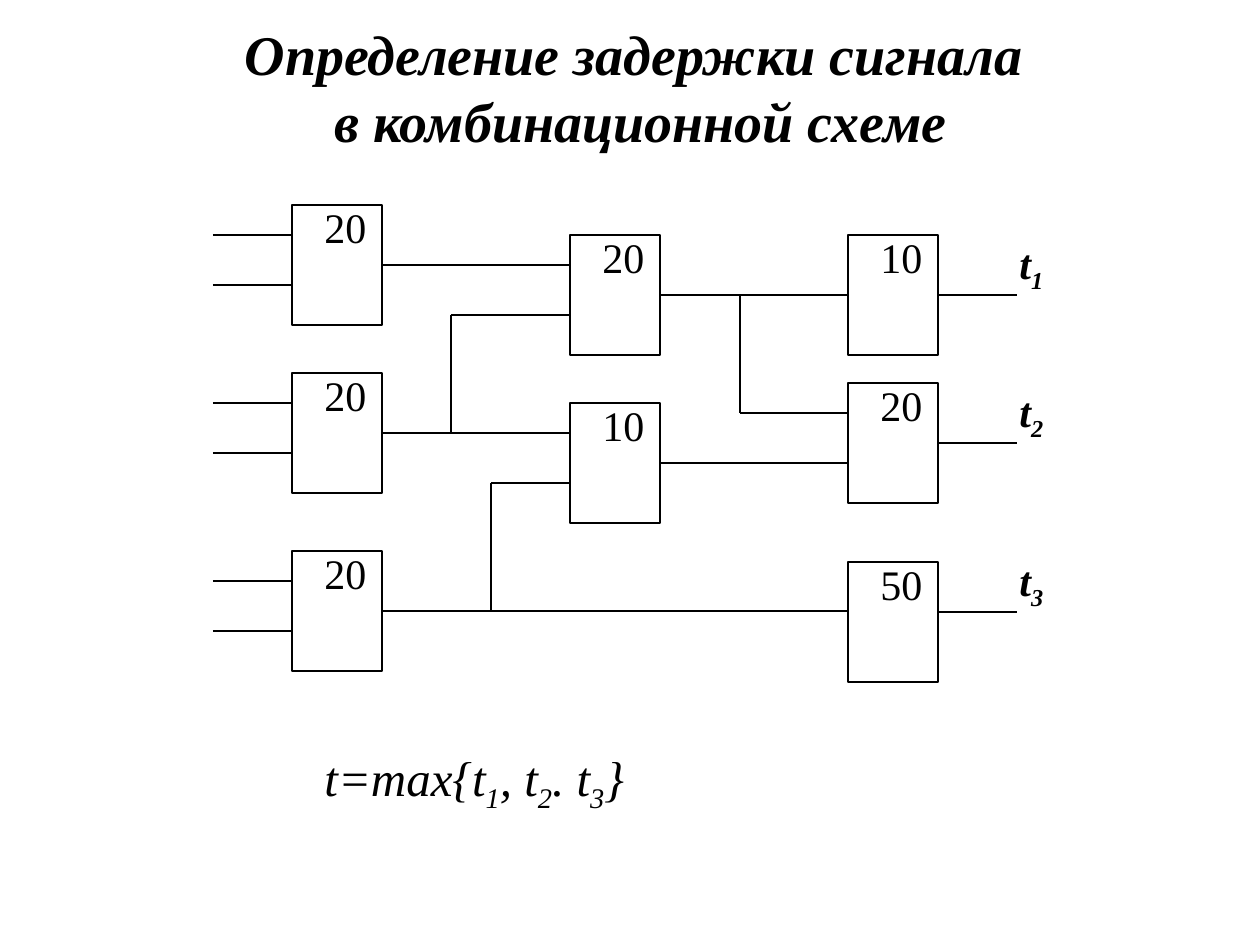
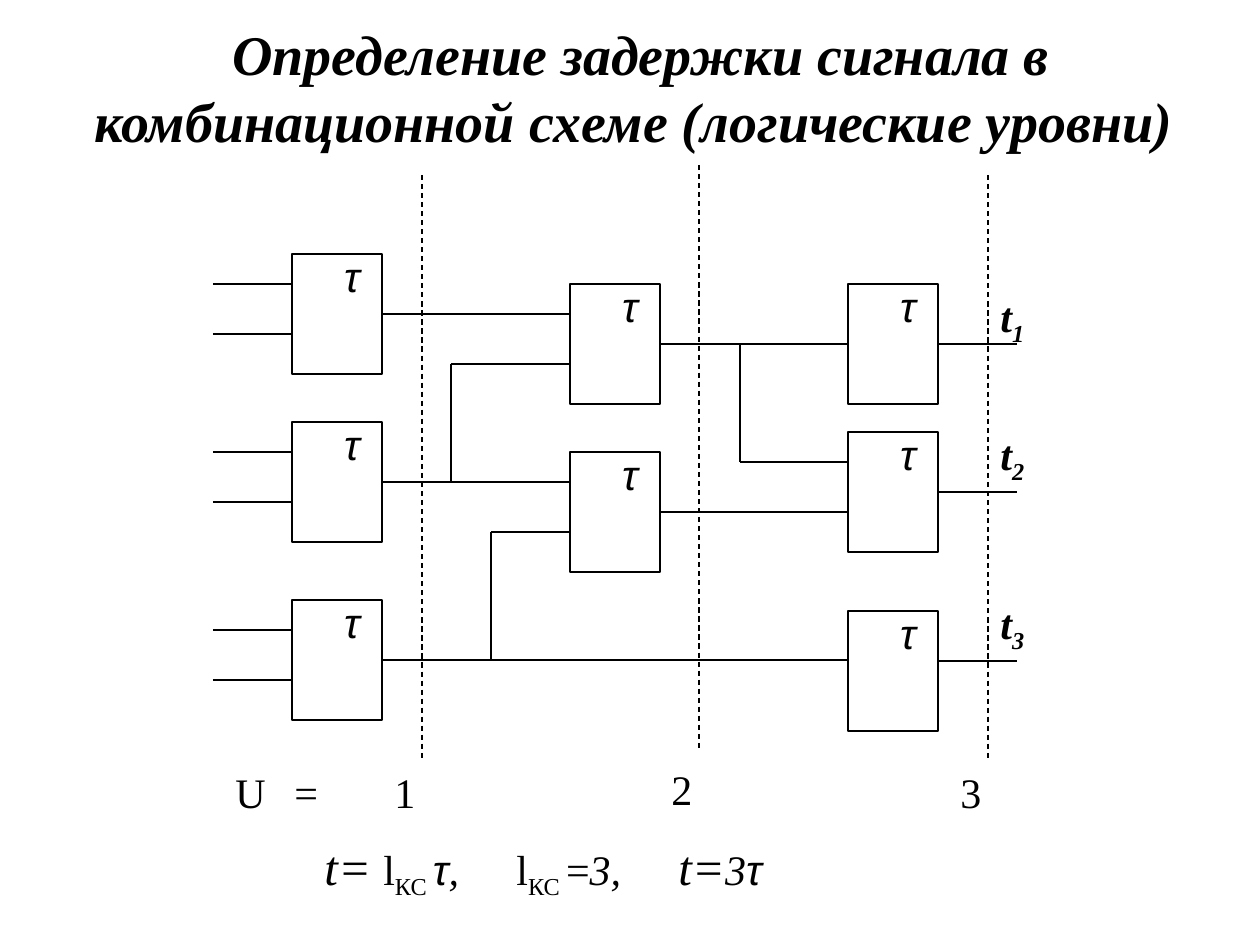
from dataclasses import dataclass

from lxml import etree
from pptx import Presentation
from pptx.dml.color import RGBColor
from pptx.enum.dml import MSO_LINE
from pptx.enum.shapes import MSO_CONNECTOR, MSO_SHAPE
from pptx.enum.text import MSO_ANCHOR, MSO_AUTO_SIZE, PP_ALIGN
from pptx.oxml.ns import qn
from pptx.util import Emu, Pt

LEFT, CENTER = PP_ALIGN.LEFT, PP_ALIGN.CENTER
MIDDLE = MSO_ANCHOR.MIDDLE
GROW = MSO_AUTO_SIZE.SHAPE_TO_FIT_TEXT
STRAIGHT, RECT = MSO_CONNECTOR.STRAIGHT, MSO_SHAPE.RECTANGLE
DASH = MSO_LINE.DASH
EMU_PER_PX = 914400 / 126


@dataclass(frozen=True)
class Theme:
    ink: RGBColor = RGBColor(0, 0, 0)
    serif: str = "Times New Roman"
    sans: str = "Arial"
    title: int = 32
    formula: int = 28
    body: int = 24
    line: float = 0.75


THEME = Theme()

# Circuit geometry, relative to the top left of the diagram
GATE_W, GATE_H = 90, 120
INPUT_LEN = 79
COLUMNS = [INPUT_LEN + 278 * i for i in range(3)]
GATE_TOPS = [(0, 168, 346), (30, 198), (30, 178, 357)]
PIN_A, PIN_OUT, PIN_B = 30, 60, 80
LAST_PIN = 50
OUTPUT_END = COLUMNS[2] + GATE_W + INPUT_LEN
FORK_1, FORK_2, FORK_3 = 238, 278, 527


def px(n):
    return Emu(round(n * EMU_PER_PX))


def set_font(font, size=None, name=None, bold=None, italic=None):
    if size:
        font.size = Pt(size)
    if name:
        font.name = name
    if bold is not None:
        font.bold = bold
    if italic is not None:
        font.italic = italic


def add_text(slide, box, runs, align=LEFT, tabs=(), anchor=None, **font):
    """Runs are (text, font settings) pairs; 'sub' marks a subscript."""
    tf = slide.shapes.add_textbox(*map(px, box)).text_frame
    tf.word_wrap = True
    if anchor is None:
        tf.auto_size = GROW
    else:
        tf.vertical_anchor = anchor
    p = tf.paragraphs[0]
    p.alignment = align
    if tabs:
        tab_list = etree.SubElement(p._p.get_or_add_pPr(), qn("a:tabLst"))
        for pos in tabs:
            etree.SubElement(tab_list, qn("a:tab"), pos=str(px(pos)), algn="l")
    set_font(p.font, **{"size": THEME.body, "name": THEME.serif, **font})
    p.font.color.rgb = THEME.ink
    if isinstance(runs, str):
        p.text = runs
        return
    for text, style in runs:
        r = p.add_run()
        r.text = text
        set_font(r.font, **{k: v for k, v in style.items() if k != "sub"})
        if style.get("sub"):
            r._r.get_or_add_rPr().set("baseline", "-25000")


def add_line(slide, x1, y1, x2, y2, dash=None):
    line = slide.shapes.add_connector(STRAIGHT, px(x1), px(y1), px(x2), px(y2))
    line.line.color.rgb = THEME.ink
    line.line.width = Pt(THEME.line)
    if dash:
        line.line.dash_style = dash
    etree.SubElement(line._element.spPr, qn("a:effectLst"))


def add_title(slide, text):
    add_text(slide, (53, 29, 1176, 116), text, CENTER, anchor=MIDDLE,
             size=THEME.title, bold=True, italic=True)


def add_gate(slide, x, y, label, **style):
    sp = slide.shapes.add_shape(RECT, px(x), px(y), px(GATE_W), px(GATE_H))
    sp.shadow.inherit = False
    sp.fill.background()
    sp.line.color.rgb = THEME.ink
    sp.line.width = Pt(THEME.line)
    add_text(slide, (x + 20, y - 10, 80, 63), label, **style)


def add_circuit(slide, left, top, delays, **style):
    # Gates, column by column
    for x, tops, labels in zip(COLUMNS, GATE_TOPS, delays):
        for y, label in zip(tops, labels):
            add_gate(slide, left + x, top + y, label, **style)

    first, second, third = GATE_TOPS
    ends = [x + GATE_W for x in COLUMNS]
    wires = []

    # Circuit inputs and outputs
    for y in first:
        wires += [(0, y + pin, COLUMNS[0], y + pin) for pin in (PIN_A, PIN_B)]
    for y, pin in zip(third, (PIN_OUT, PIN_OUT, LAST_PIN)):
        wires.append((ends[2], y + pin, OUTPUT_END, y + pin))

    # Direct wires between gates
    y1, y2, y3 = (y + PIN_OUT for y in first)
    y4, y5 = (y + PIN_OUT for y in second)
    wires += [
        (ends[0], y1, COLUMNS[1], y1),
        (ends[0], y2, FORK_2, y2),
        (FORK_2, y2, COLUMNS[1], y2),
        (ends[0], y3, COLUMNS[2], y3),
        (ends[1], y4, FORK_3, y4),
        (FORK_3, y4, COLUMNS[2], y4),
        (ends[1], y5, COLUMNS[2], y5),
    ]

    # Branches: a vertical from the fork, then a run into the gate
    for x, y_from, y_to, x_to in (
        (FORK_1, y2, second[0] + PIN_B, COLUMNS[1]),
        (FORK_2, y3, second[1] + PIN_B, COLUMNS[1]),
        (FORK_3, y4, third[1] + PIN_A, COLUMNS[2]),
    ):
        wires += [(x, y_from, x, y_to), (x, y_to, x_to, y_to)]

    for xa, ya, xb, yb in wires:
        add_line(slide, left + xa, top + ya, left + xb, top + yb)


def add_output_names(slide, left, tops):
    for i, y in enumerate(tops, 1):
        add_text(slide, (left, y, 80, 70), [("t", {}), (str(i), {"sub": True})],
                 bold=True, italic=True)


def add_levels(slide, top, height):
    # Dashed level borders with their numbers
    for i, (x, dy) in enumerate(((422, 0), (699, -10), (988, 0)), 1):
        add_line(slide, x, top + dy, x, top + dy + height, DASH)
        label_y = top + height + (-3 if dy else 0)
        add_text(slide, (x - 40, label_y, 80, 63), str(i))
    for x, text in ((223, "U"), (282, "=")):
        add_text(slide, (x, top + height, 80, 63), text)


def build_delay_slide(slide):
    add_title(slide, "Определение задержки сигнала \vв комбинационной схеме")
    add_circuit(slide, 213, 205,
                [("20", "20", "20"), ("20", "10"), ("10", "20", "50")])
    formula = [("t=max{t", {}), ("1", {"sub": True}), (", t", {}),
               ("2", {"sub": True}), (". t", {}), ("3", {"sub": True}), ("}", {})]
    add_text(slide, (312, 741, 764, 79), formula,
             size=THEME.formula, italic=True)
    add_output_names(slide, 1007, (231, 379, 548))


def build_levels_slide(slide):
    add_circuit(slide, 213, 254, [("τ",) * len(tops) for tops in GATE_TOPS],
                align=CENTER, name=THEME.sans, italic=True)
    add_output_names(slide, 988, (284, 422, 591))
    add_levels(slide, 175, 585)
    add_title(slide, "Определение задержки сигнала в комбинационной схеме "
                     "(логические уровни) ")
    big, tau = {"size": THEME.formula}, {"name": THEME.sans}
    upright = {"italic": False}
    sub = {"italic": False, "sub": True}
    formula = [("t= ", big), ("l", upright), ("КС ", sub), ("τ", tau),
               (",\t", {}), ("l", upright), ("КС ", sub), ("=", upright),
               ("3,\t", {}), ("t=", big), ("3", {}), ("τ", tau)]
    add_text(slide, (312, 830, 764, 77), formula, tabs=(192, 354), italic=True)


def main():
    prs = Presentation()
    prs.slide_width, prs.slide_height = px(1260), px(945)
    for build in (build_delay_slide, build_levels_slide):
        build(prs.slides.add_slide(prs.slide_layouts[6]))
    prs.save("out.pptx")


if __name__ == "__main__":
    main()
